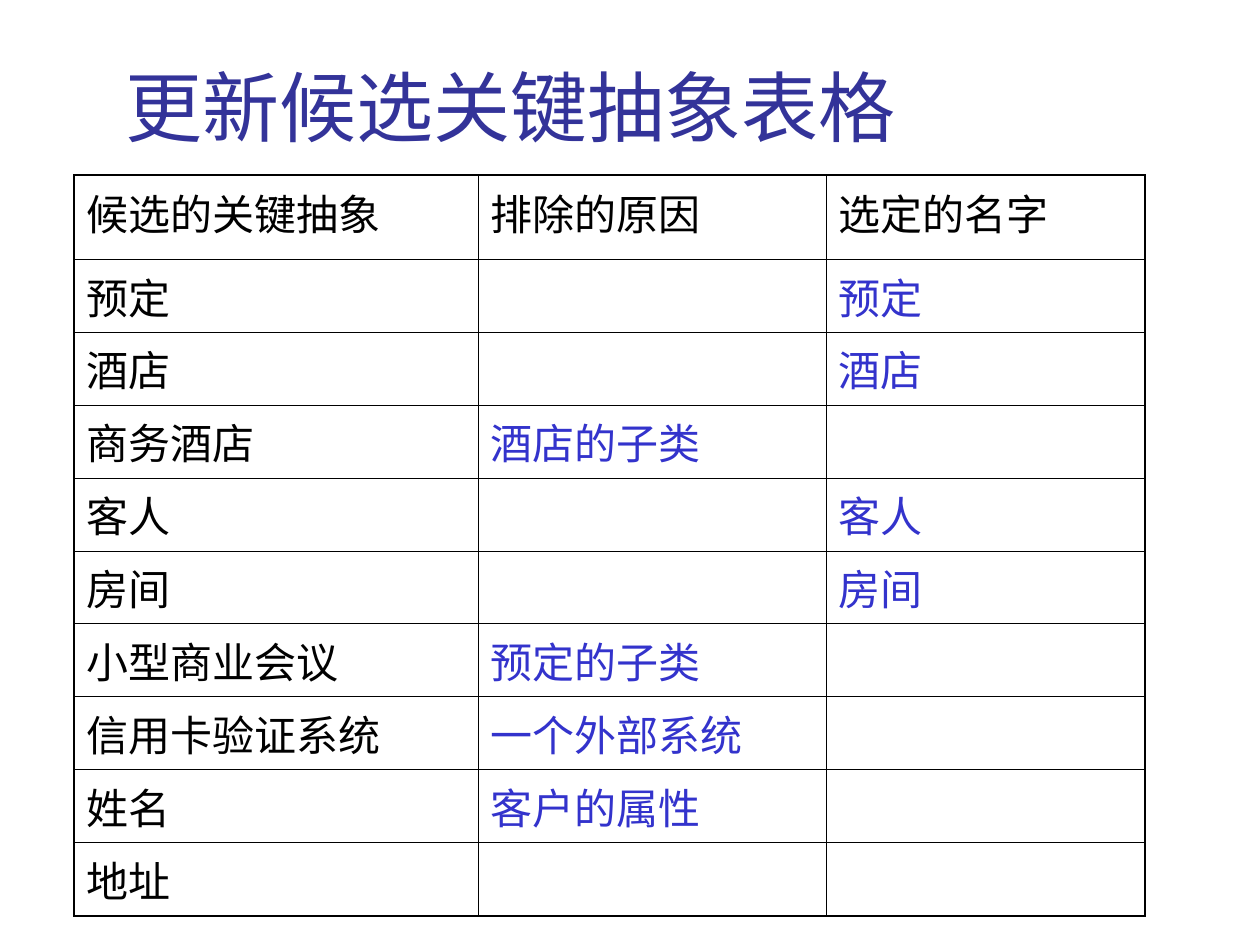
from typing import NamedTuple

from lxml.etree import SubElement as Sub
from pptx import Presentation
from pptx.dml.color import RGBColor as Rgb
from pptx.enum.text import MSO_ANCHOR as Anchor
from pptx.oxml.ns import qn
from pptx.util import Emu, Pt

SCALE = 914400 / 126
FONT = "Roboto"
COLORS = {"title": "333399", "text": "000000", "note": "3333CC", "line": "000000"}
THIN, THICK = 0.45, 1.08
WIDTHS = (404, 348, 319)
HEAD, BODY = 84, 73


class Row(NamedTuple):
    name: str
    reason: str = ""
    chosen: str = ""


class Box(NamedTuple):
    left: int
    top: int
    width: int
    height: int


ROWS = [
    Row("候选的关键抽象", "排除的原因", "选定的名字"),
    Row("预定", chosen="预定"),
    Row("酒店", chosen="酒店"),
    Row("商务酒店", "酒店的子类"),
    Row("客人", chosen="客人"),
    Row("房间", chosen="房间"),
    Row("小型商业会议", "预定的子类"),
    Row("信用卡验证系统", "一个外部系统"),
    Row("姓名", "客户的属性"),
    Row("地址"),
]


def px(count: int) -> Emu:
    return Emu(round(count * SCALE))


def place(box: Box) -> list[Emu]:
    return [px(side) for side in box]


def write(frame, text: str, *, size: int = 24, color: str = "text") -> None:
    frame.word_wrap = True
    run = frame.paragraphs[0].add_run()
    run.text = text
    run.font.name = FONT
    run.font.size = Pt(size)
    run.font.color.rgb = Rgb.from_string(COLORS[color])


def edge(cell, side: str, width: float) -> None:
    props = cell._tc.get_or_add_tcPr()
    line = Sub(props, qn(f"a:{side}"), w=str(Pt(width)))
    fill = Sub(line, qn("a:solidFill"))
    Sub(fill, qn("a:srgbClr"), val=COLORS["line"])


def draw_title(slide, text: str, box: Box) -> None:
    frame = slide.shapes.add_textbox(*place(box)).text_frame
    frame.vertical_anchor = Anchor.BOTTOM
    write(frame, text, size=44, color="title")


def draw_table(slide, rows: list[Row], left: int, top: int) -> None:
    last, end = len(rows) - 1, len(WIDTHS) - 1
    box = Box(left, top, sum(WIDTHS), HEAD + BODY * last)
    table = slide.shapes.add_table(len(rows), len(WIDTHS), *place(box)).table
    table.first_row = table.horz_banding = False
    for col, width in zip(table.columns, WIDTHS):
        col.width = px(width)
    for r, row in enumerate(rows):
        table.rows[r].height = px(BODY if r else HEAD)
        for c, text in enumerate(row):
            cell = table.cell(r, c)
            outer = {"lnL": c == 0, "lnR": c == end, "lnT": r == 0, "lnB": r == last}
            for side, thick in outer.items():
                edge(cell, side, THICK if thick else THIN)
            cell.fill.background()
            if text:
                write(cell.text_frame, text, color="note" if r and c else "text")


def main() -> None:
    deck = Presentation()
    deck.slide_width, deck.slide_height = px(1260), px(945)
    slide = deck.slides.add_slide(deck.slide_layouts[6])
    draw_title(slide, "更新候选关键抽象表格", Box(113, 0, 1074, 158))
    draw_table(slide, ROWS, 74, 175)
    deck.save("out.pptx")


if __name__ == "__main__":
    main()
